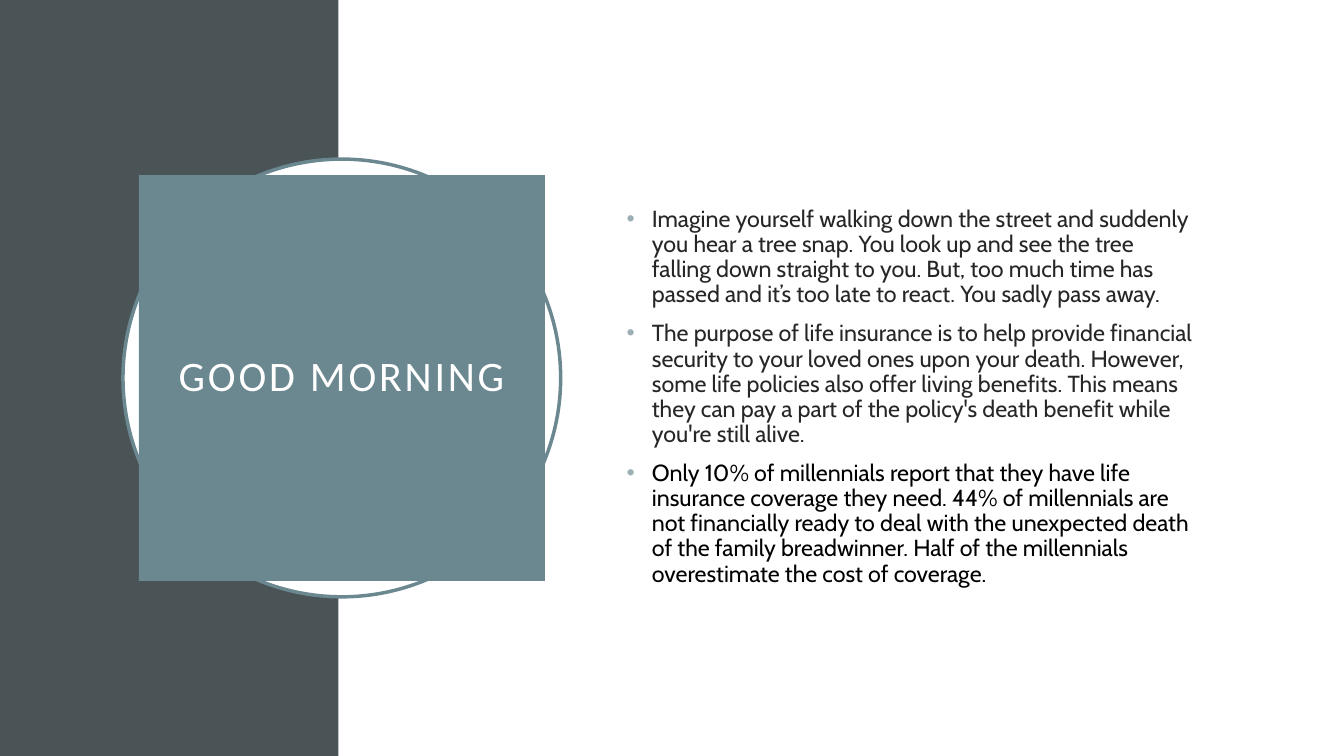
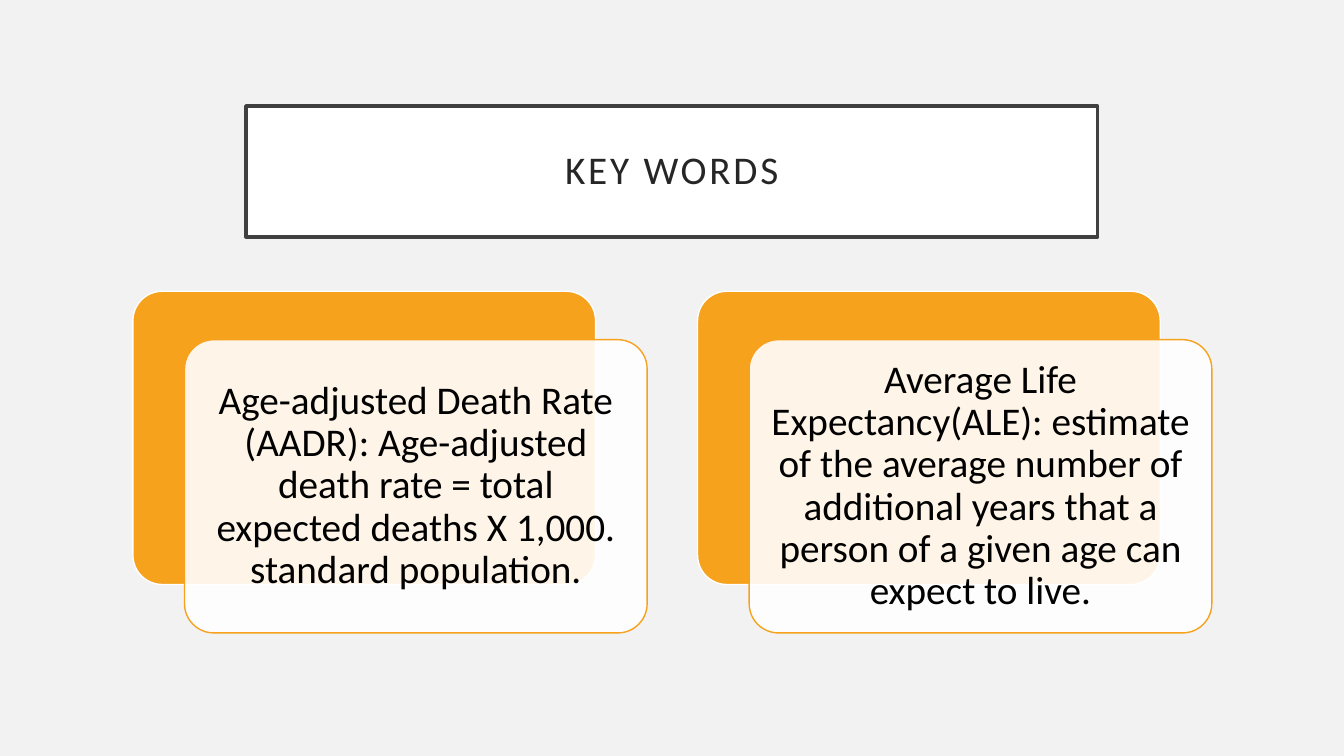
import pptx
import pptx.util
import pptx.dml.color
import pptx.enum.shapes
import pptx.enum.text
import pptx.oxml.ns
import lxml.etree

Cm, Pt = pptx.util.Cm, pptx.util.Pt
RGBColor = pptx.dml.color.RGBColor
Shape = pptx.enum.shapes.MSO_SHAPE
Align = pptx.enum.text.PP_ALIGN
qn = pptx.oxml.ns.qn

# Content
GREETING = "GOOD MORNING"
KEY_WORDS = "KEY WORDS"
WHITE = RGBColor(0xFF, 0xFF, 0xFF)
BLACK = RGBColor(0x00, 0x00, 0x00)
INK = RGBColor(0x26, 0x26, 0x26)
FRAME = RGBColor(0x40, 0x40, 0x40)
PALE = RGBColor(0xF2, 0xF2, 0xF2)
SLATE = RGBColor(0x4A, 0x53, 0x56)
TEAL = RGBColor(0x6B, 0x88, 0x91)
ORANGE = RGBColor(0xF6, 0xA2, 0x1D)
BULLET = RGBColor(0x9B, 0xAF, 0xB5)

POINTS = [
    ("Imagine yourself walking down the street and suddenly you hear a tree "
     "snap. You look up and see the tree falling down straight to you. But, "
     "too much time has passed and it’s too late to react. You sadly pass "
     "away.", INK),
    ("The purpose of life insurance is to help provide financial security to "
     "your loved ones upon your death. However, some life policies also offer "
     "living benefits. This means they can pay a part of the policy's death "
     "benefit while you're still alive.", INK),
    ("Only 10% of millennials report that they have life insurance coverage "
     "they need. 44% of millennials are not financially ready to deal with "
     "the unexpected death of the family breadwinner. Half of the millennials "
     "overestimate the cost of coverage.", BLACK),
]
DEFINITIONS = [
    "Age-adjusted Death Rate (AADR): Age-adjusted death rate = total expected "
    "deaths X 1,000. standard population.",
    "Average Life Expectancy(ALE): estimate of the average number of "
    "additional years that a person of a given age can expect to live.",
]

# Sizes in centimetres
WIDTH, HEIGHT = 33.87, 19.05
BAND_WIDTH = 8.53
CARD_WIDTH, CARD_HEIGHT = 11.66, 7.39
CARD_LEFT, CARD_TOP, CARD_PITCH = 3.35, 7.34, 14.23
CARD_SHIFT_X, CARD_SHIFT_Y = 1.3, 1.22


# Shared parts
def place(shape, left, top, width, height):
    shape.left, shape.top = Cm(left), Cm(top)
    shape.width, shape.height = Cm(width), Cm(height)


def paint(shape, fill, line=None, weight=1):
    shape.fill.solid()
    shape.fill.fore_color.rgb = fill
    if line is None:
        shape.line.fill.background()
    else:
        shape.line.color.rgb = line
        shape.line.width = Pt(weight)


def add_block(page, kind, area, fill, line=None, weight=1):
    shape = page.shapes.add_shape(kind, *map(Cm, area))
    shape.shadow.inherit = False
    paint(shape, fill, line, weight)
    return shape


def set_frame(frame, inset_x, inset_y):
    frame.word_wrap = True
    frame.auto_size = pptx.enum.text.MSO_AUTO_SIZE.NONE
    frame.vertical_anchor = pptx.enum.text.MSO_ANCHOR.MIDDLE
    frame.margin_left = frame.margin_right = Cm(inset_x)
    frame.margin_top = frame.margin_bottom = Cm(inset_y)


def write(para, text, font, size, color, align=Align.CENTER):
    para.text = text
    para.alignment = align
    para.line_spacing = 0.9
    for span in para.runs:
        span.font.name, span.font.size = font, Pt(size)
        span.font.color.rgb = color


def set_title(page, text, area, size, color, fill, line=None):
    title = page.shapes.title
    place(title, *area)
    paint(title, fill, line, 2.5)
    set_frame(title.text_frame, 0.5, 0.5)
    para = title.text_frame.paragraphs[0]
    write(para, text, "Calibri", size, color)
    para.runs[0].font._element.set("spc", "200")
    # Bring the title in front of the shapes drawn so far
    title._element.getparent().append(title._element)


def add_bullet(para):
    props = para._p.get_or_add_pPr()
    props.set("marL", str(Cm(0.64)))
    props.set("indent", str(-Cm(0.64)))
    color = lxml.etree.SubElement(props, qn("a:buClr"))
    lxml.etree.SubElement(color, qn("a:srgbClr"), val=str(BULLET))
    lxml.etree.SubElement(props, qn("a:buFont"), typeface="Arial")
    lxml.etree.SubElement(props, qn("a:buChar"), char="•")


def add_page(deck, background):
    page = deck.slides.add_slide(deck.slide_layouts[5])
    page.background.fill.solid()
    page.background.fill.fore_color.rgb = background
    return page


def build_greeting(deck):
    page = add_page(deck, WHITE)
    add_block(page, Shape.RECTANGLE, (0, 0, BAND_WIDTH, HEIGHT), SLATE)
    add_block(page, Shape.OVAL, (3.1, 4.01, 11.03, 11.03), WHITE, TEAL, 2.5)
    set_title(page, GREETING, (3.5, 4.41, 10.23, 10.23), 30, WHITE, TEAL)

    # Bulleted points
    box = page.shapes.add_textbox(Cm(15.54), Cm(4.88), Cm(14.78), Cm(10.26))
    frame = box.text_frame
    set_frame(frame, 0.25, 0.13)
    for index, (text, color) in enumerate(POINTS):
        para = frame.add_paragraph() if index else frame.paragraphs[0]
        write(para, text, "Cabin", 16.6, color, Align.LEFT)
        para.space_before = Pt(10 if index else 0)
        add_bullet(para)


def build_key_words(deck):
    page = add_page(deck, PALE)
    set_title(page, KEY_WORDS, (6.2, 2.67, 21.46, 3.3), 28, INK, WHITE, FRAME)

    # Each definition card lies over an orange one
    for index, text in enumerate(DEFINITIONS):
        left = CARD_LEFT + index * CARD_PITCH
        back = add_block(page, Shape.ROUNDED_RECTANGLE,
                         (left, CARD_TOP, CARD_WIDTH, CARD_HEIGHT),
                         ORANGE, WHITE)
        card = add_block(page, Shape.ROUNDED_RECTANGLE,
                         (left + CARD_SHIFT_X, CARD_TOP + CARD_SHIFT_Y,
                          CARD_WIDTH, CARD_HEIGHT), WHITE, ORANGE)
        for shape in (back, card):
            shape.adjustments[0] = 0.1
        color = card._element.spPr.find(qn("a:solidFill"))[0]
        lxml.etree.SubElement(color, qn("a:alpha"), val="90000")
        set_frame(card.text_frame, 0.28, 0.1)
        write(card.text_frame.paragraphs[0], text, "Calibri", 28, BLACK)


def main():
    deck = pptx.Presentation()
    deck.slide_width, deck.slide_height = Cm(WIDTH), Cm(HEIGHT)
    build_greeting(deck)
    build_key_words(deck)
    deck.save("out.pptx")


if __name__ == "__main__":
    main()
